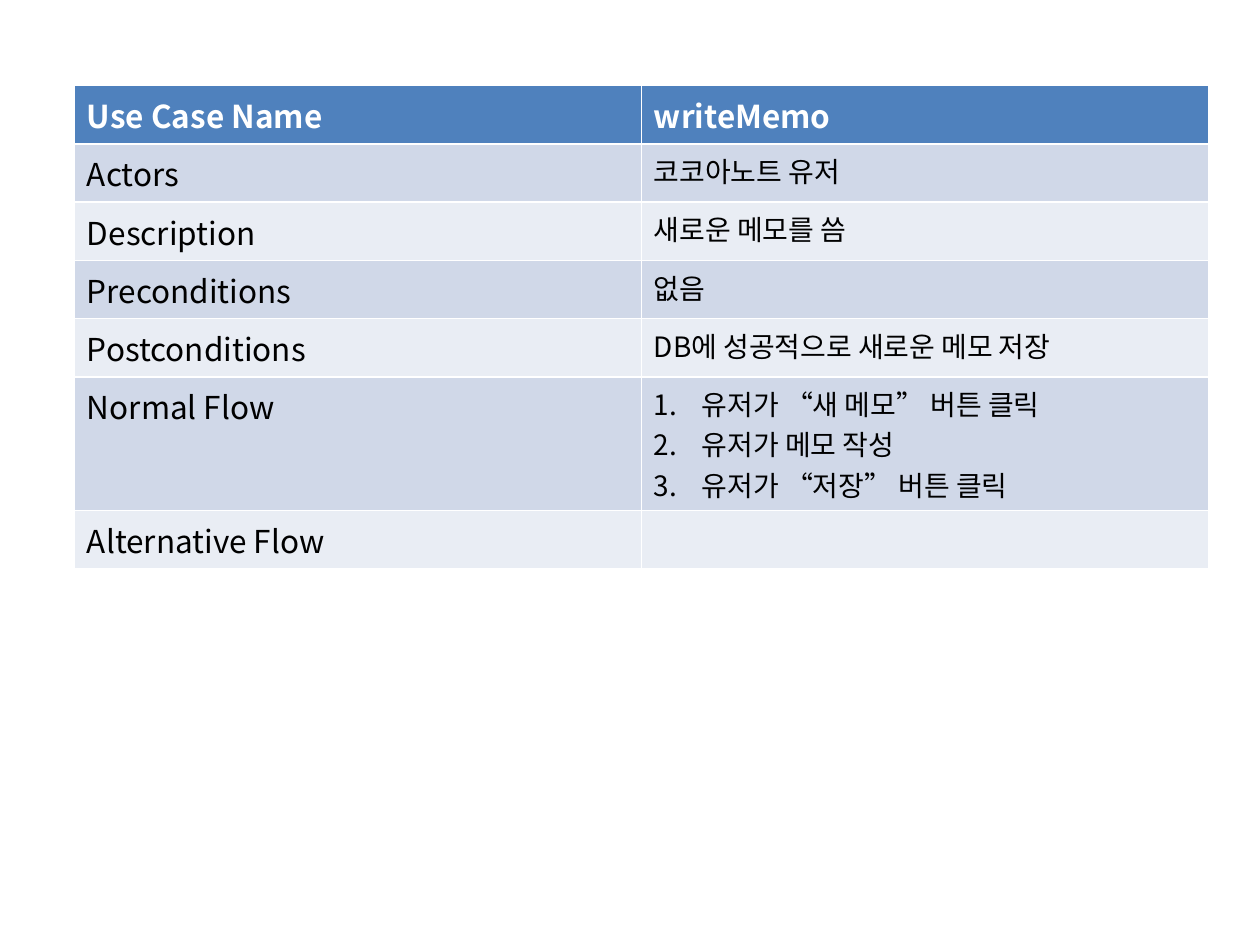
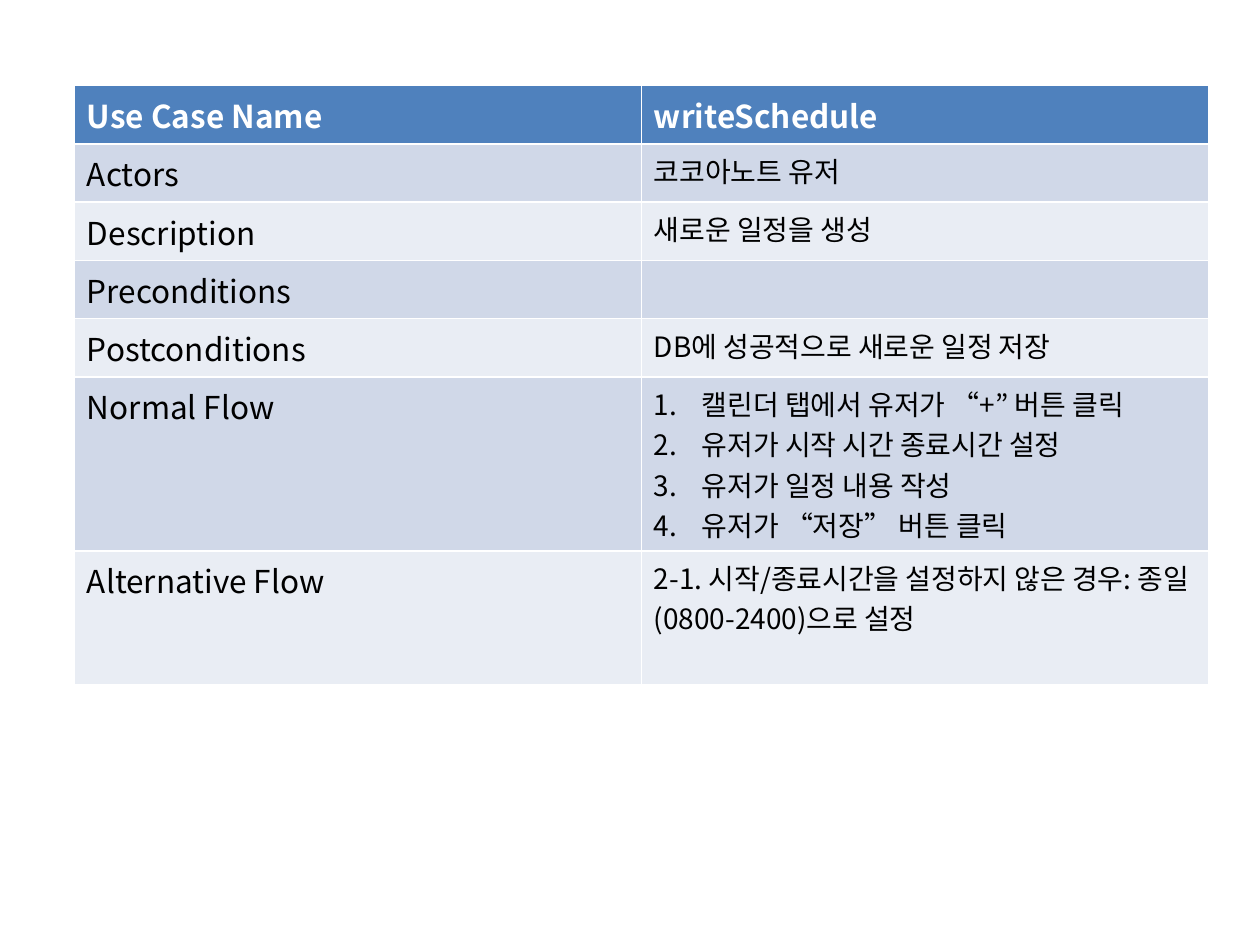
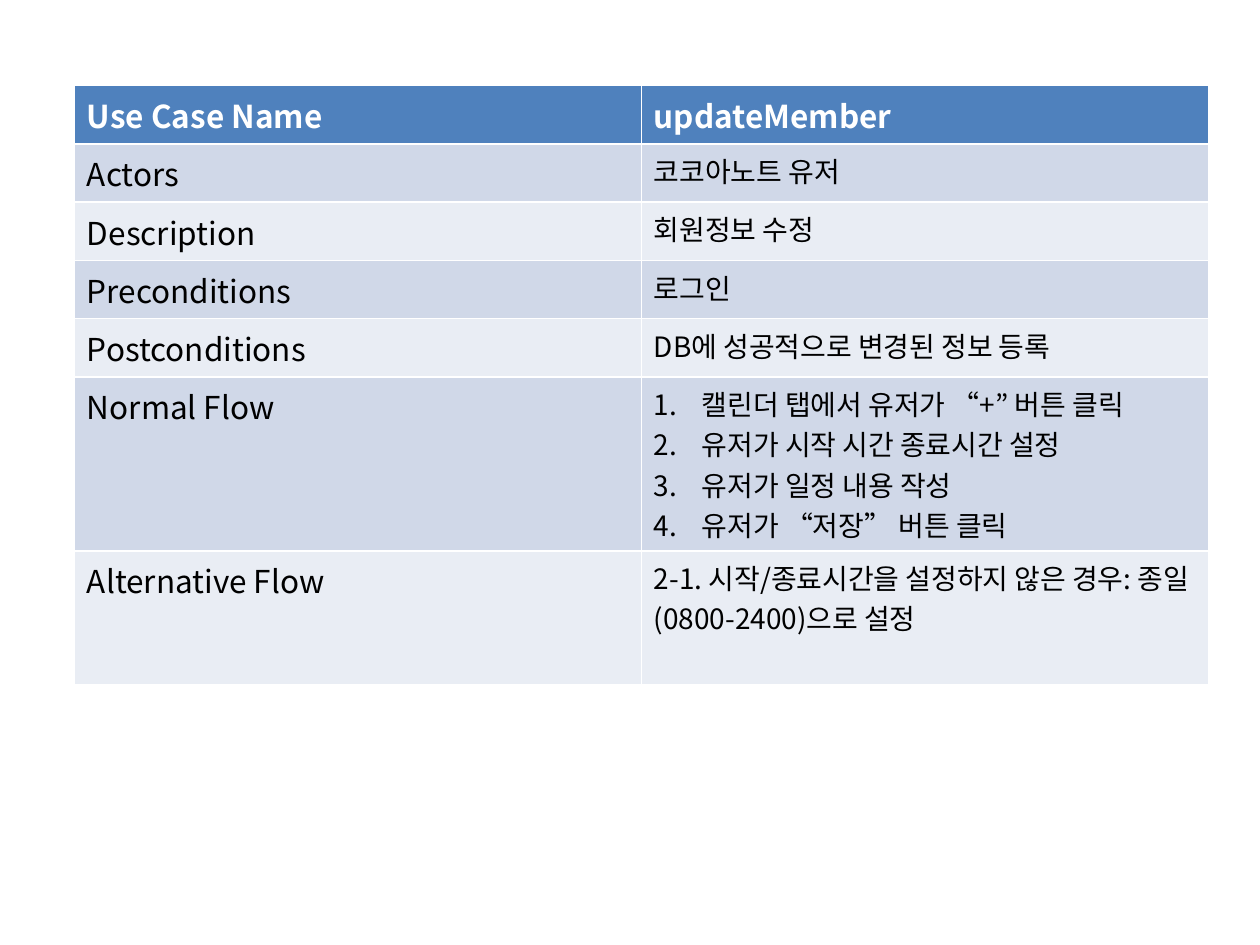
"""Build three use case slides, each holding one two-column table."""
from dataclasses import dataclass

import lxml.etree
import pptx
import pptx.dml.color
import pptx.oxml.ns
import pptx.util

HEADER_FILL = pptx.dml.color.RGBColor(0x4F, 0x81, 0xBD)
BAND_FILLS = (
    pptx.dml.color.RGBColor(0xE9, 0xED, 0xF4),
    pptx.dml.color.RGBColor(0xD0, 0xD8, 0xE8),
)
WHITE = pptx.dml.color.RGBColor(0xFF, 0xFF, 0xFF)
BLACK = pptx.dml.color.RGBColor(0x00, 0x00, 0x00)
FONT = "Noto Sans CJK KR"
LABEL_SIZE = pptx.util.Pt(18)
DETAIL_SIZE = pptx.util.Pt(16)
LIST_INDENT = pptx.util.Inches(0.38)

SLIDE_WIDTH = pptx.util.Inches(10)
SLIDE_HEIGHT = pptx.util.Inches(7.5)
BLANK_LAYOUT = 6

# Percentages of the slide's width or height.
LEFT, TOP, COLUMN_WIDTH = 5.9, 9.07, 45
HEADER_HEIGHT, ROW_HEIGHT, TALL_ROW_HEIGHT = 4.93, 5.47, 14.13

LABELS = (
    "Use Case Name", "Actors", "Description", "Preconditions",
    "Postconditions", "Normal Flow", "Alternative Flow",
)
ACTOR = "코코아노트 유저"
SCHEDULE_FLOW = (
    "캘린더 탭에서 유저가 “+” 버튼 클릭",
    "유저가 시작 시간 종료시간 설정",
    "유저가 일정 내용 작성",
    "유저가 “저장” 버튼 클릭",
)
ALL_DAY = "2-1. 시작/종료시간을 설정하지 않은 경우: 종일(0800-2400)으로 설정"


@dataclass(frozen=True)
class UseCase:
    """The right-hand column of one use case table."""

    name: str
    description: str
    preconditions: str
    postconditions: str
    normal_flow: tuple[str, ...]
    alternative_flow: str
    table_height: float

    def details(self) -> list[tuple[str, ...]]:
        """Return the lines of each detail cell, in the order of LABELS."""
        return [
            (self.name,), (ACTOR,), (self.description,), (self.preconditions,),
            (self.postconditions,), self.normal_flow, (self.alternative_flow,),
        ]


USE_CASES = (
    UseCase(
        "writeMemo", "새로운 메모를 씀", "없음", "DB에 성공적으로 새로운 메모 저장",
        ("유저가 “새 메모” 버튼 클릭", "유저가 메모 작성", "유저가 “저장” 버튼 클릭"),
        "", 44.4,
    ),
    UseCase(
        "writeSchedule", "새로운 일정을 생성", "", "DB에 성공적으로 새로운 일정 저장",
        SCHEDULE_FLOW, ALL_DAY, 54.53,
    ),
    UseCase(
        "updateMember", "회원정보 수정", "로그인", "DB에 성공적으로 변경된 정보 등록",
        SCHEDULE_FLOW, ALL_DAY, 54.53,
    ),
)


def across(percent: float) -> pptx.util.Emu:
    """Turn a percentage of the slide's width into a length."""
    return pptx.util.Emu(round(SLIDE_WIDTH * percent / 100))


def down(percent: float) -> pptx.util.Emu:
    """Turn a percentage of the slide's height into a length."""
    return pptx.util.Emu(round(SLIDE_HEIGHT * percent / 100))


def number_paragraph(para) -> None:
    """Give a paragraph an automatic number and a hanging indent."""
    properties = para._p.get_or_add_pPr()
    properties.set("marL", str(LIST_INDENT))
    properties.set("indent", str(-LIST_INDENT))
    numbering = lxml.etree.Element(
        pptx.oxml.ns.qn("a:buAutoNum"), type="arabicPeriod")
    properties.insert(0, numbering)


def style_font(font, size: pptx.util.Pt, is_header: bool) -> None:
    """Set size, weight, colour and the Latin and East Asian typeface."""
    font.size = size
    font.bold = is_header
    font.color.rgb = WHITE if is_header else BLACK
    font.name = FONT
    lxml.etree.SubElement(
        font._rPr, pptx.oxml.ns.qn("a:ea"), typeface=FONT)


def fill_cell(cell, lines: tuple[str, ...], row: int, size: pptx.util.Pt) -> None:
    """Write the lines into a cell and colour it for its row."""
    is_header = row == 0
    cell.fill.solid()
    cell.fill.fore_color.rgb = HEADER_FILL if is_header else BAND_FILLS[row % 2]
    cell.text = "\n".join(lines)
    for para in cell.text_frame.paragraphs:
        style_font(para.font, size, is_header)
        if len(lines) > 1:
            number_paragraph(para)


def add_use_case(deck, use_case: UseCase) -> None:
    """Add a slide with the table of one use case."""
    page = deck.slides.add_slide(deck.slide_layouts[BLANK_LAYOUT])
    frame = page.shapes.add_table(
        len(LABELS), 2, across(LEFT), down(TOP),
        across(2 * COLUMN_WIDTH), down(use_case.table_height))
    table = frame.table
    for row, (label, lines) in enumerate(zip(LABELS, use_case.details())):
        table.rows[row].height = down(ROW_HEIGHT if row else HEADER_HEIGHT)
        fill_cell(table.cell(row, 0), (label,), row, LABEL_SIZE)
        fill_cell(table.cell(row, 1), lines, row, DETAIL_SIZE if row else LABEL_SIZE)
    if use_case.alternative_flow:
        table.rows[len(LABELS) - 1].height = down(TALL_ROW_HEIGHT)
    frame.height = down(use_case.table_height)


def main() -> None:
    """Build the deck and save it."""
    deck = pptx.Presentation()
    deck.slide_width = SLIDE_WIDTH
    deck.slide_height = SLIDE_HEIGHT
    for use_case in USE_CASES:
        add_use_case(deck, use_case)
    deck.save("out.pptx")


main()
